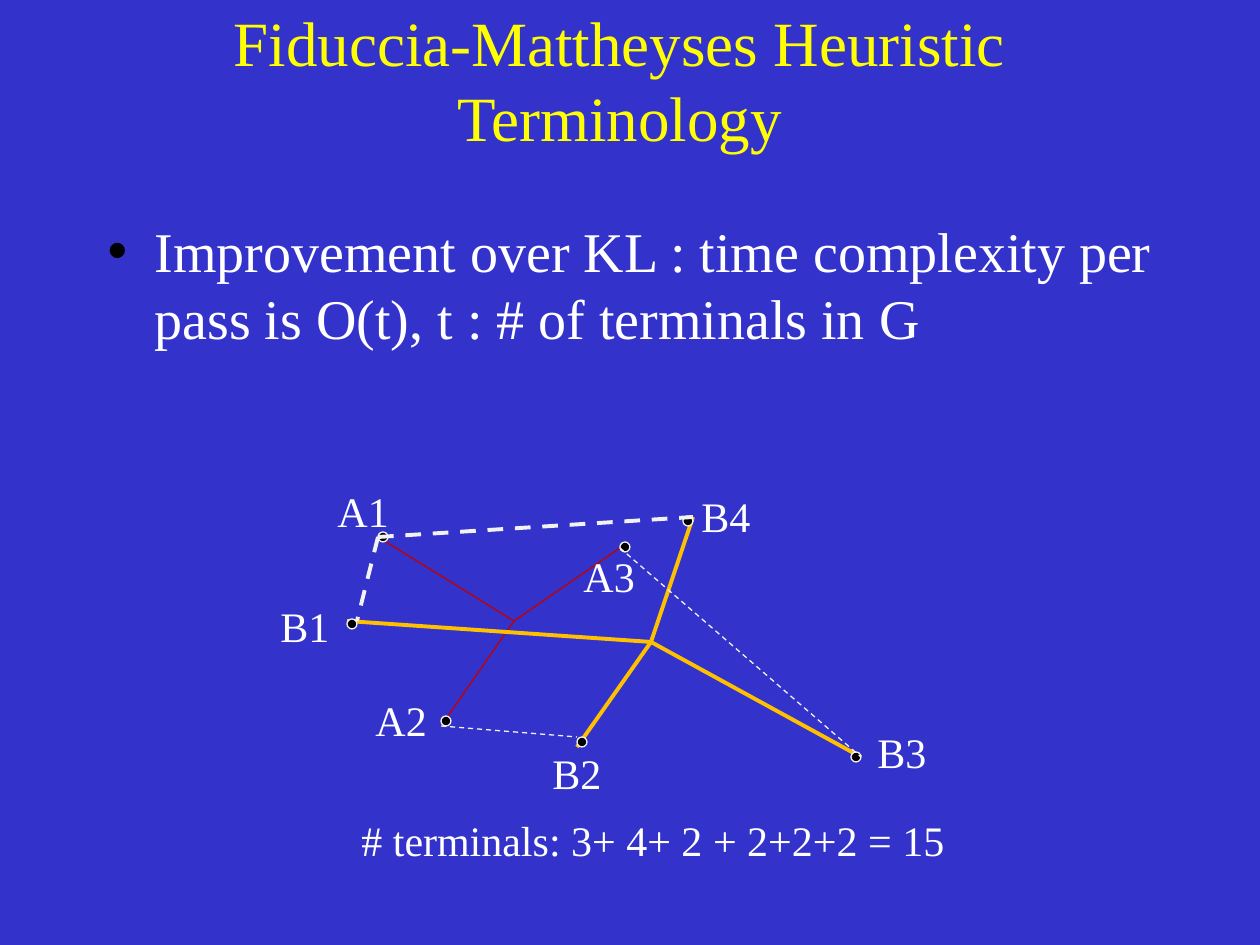
from lxml.etree import SubElement
from pptx import Presentation
from pptx.dml.color import RGBColor
from pptx.enum.dml import MSO_LINE
from pptx.enum.shapes import MSO_CONNECTOR, MSO_SHAPE
from pptx.enum.text import MSO_ANCHOR, MSO_AUTO_SIZE, PP_ALIGN
from pptx.oxml.ns import qn
from pptx.util import Emu, Pt

SCALE = 914400 / 126  # EMU in one px
BLUE, YELLOW, WHITE, BLACK = "3333CC", "FFFF00", "FFFFFF", "000000"
RED, GOLD, PALE = "C00000", "FFC000", "F2F2F2"
DOT, LABEL_WIDTH, LABEL_HEIGHT = 10, 80, 63

# Node: end of its wires, corner of its dot, corner of its label
NODES = {
    "A1": ((110, 58), (110, 53), (57, 0)),
    "A2": ((173, 247), (173, 237), (95, 209)),
    "A3": ((352, 69), (352, 63), (303, 65)),
    "B1": ((79, 142), (79, 140), (0, 115)),
    "B2": ((309, 268), (309, 258), (272, 262)),
    "B3": ((593, 278), (583, 273), (597, 241)),
    "B4": ((425, 38), (415, 37), (421, 5)),
}
# Net: centre, nodes, colour, width
NETS = [
    ((246, 142), ("A1", "A2", "A3"), RED, 0.75),
    ((383, 163), ("B1", "B2", "B4", "B3"), GOLD, 2.25),
]
B1_RIGHT, B2_TOP = (89, 142), (309, 258)


def px(length):
    return Emu(round(length * SCALE))


def color(hex_string):
    return RGBColor.from_string(hex_string)


def place(shape, box):
    for name, length in zip(("left", "top", "width", "height"), box):
        setattr(shape, name, px(length))


def write(frame, lines, size, hex_string, **formats):
    """Fill a text frame, one paragraph for each line."""
    for index, line in enumerate(lines):
        para = frame.paragraphs[0] if index == 0 else frame.add_paragraph()
        span = para.add_run()
        span.text = line
        for name, value in {"space_before": Pt(0), **formats}.items():
            setattr(para, name, value)
        font = {"name": "Times New Roman", "size": Pt(size)}
        for name, value in font.items():
            setattr(span.font, name, value)
        span.font.color.rgb = color(hex_string)


def add_text(page, box, text, anchor):
    shape = page.shapes.add_textbox(*map(px, box))
    frame = shape.text_frame
    settings = {"word_wrap": False, "vertical_anchor": anchor,
                "auto_size": MSO_AUTO_SIZE.SHAPE_TO_FIT_TEXT}
    for name, value in settings.items():
        setattr(frame, name, value)
    write(frame, [text], 24, WHITE)


def add_title(page, box):
    title = page.shapes.title
    place(title, box)
    title.text_frame.auto_size = MSO_AUTO_SIZE.NONE
    title.text_frame.vertical_anchor = MSO_ANCHOR.MIDDLE
    write(title.text_frame, ["Fiduccia-Mattheyses Heuristic", "Terminology"],
          36, YELLOW, alignment=PP_ALIGN.CENTER)


def add_body(page, box):
    body = page.placeholders[1]
    place(body, box)
    frame = body.text_frame
    frame.auto_size = MSO_AUTO_SIZE.NONE
    # Black hanging bullet
    props = frame.paragraphs[0]._p.get_or_add_pPr()
    props.set("marL", str(px(47)))
    props.set("indent", str(px(-47)))
    bullet_color = SubElement(props, qn("a:buClr"))
    SubElement(bullet_color, qn("a:srgbClr")).set("val", BLACK)
    SubElement(props, qn("a:buChar")).set("char", "•")
    write(frame, ["Improvement over KL : time complexity per pass is O(t), "
                  "t : # of terminals in G"], 32, WHITE)


def add_diagram(page, box):
    left, top = box[:2]

    def wire(start, end, hex_string, width, dash=None):
        ends = [px(v) for x, y in (start, end) for v in (left + x, top + y)]
        line = page.shapes.add_connector(MSO_CONNECTOR.STRAIGHT, *ends)
        line.line.color.rgb = color(hex_string)
        line.line.width = Pt(width)
        line.line.dash_style = dash
        SubElement(line._element.spPr, qn("a:effectLst"))

    # Nets joined at a centre
    for centre, names, hex_string, width in NETS:
        for name in names:
            wire(centre, NODES[name][0], hex_string, width)

    # Nodes
    for _, (x, y), _ in NODES.values():
        dot = page.shapes.add_shape(
            MSO_SHAPE.OVAL, *map(px, (left + x, top + y, DOT, DOT)))
        dot.shadow.inherit = False
        dot.fill.solid()
        dot.fill.fore_color.rgb = color(BLACK)
        dot.line.color.rgb = color(PALE)
        dot.line.width = Pt(0.75)

    # Dashed nets between two nodes
    ends = {name: node[0] for name, node in NODES.items()}
    for start, end, width in [(ends["A1"], B1_RIGHT, 2.25),
                              (ends["A1"], ends["B4"], 2.25),
                              (ends["A2"], B2_TOP, 0.75),
                              (ends["A3"], ends["B3"], 0.75)]:
        wire(start, end, PALE, width, MSO_LINE.DASH)

    # Labels
    for name, (_, _, (x, y)) in NODES.items():
        add_text(page, (left + x, top + y, LABEL_WIDTH, LABEL_HEIGHT),
                 name, MSO_ANCHOR.MIDDLE)


def main():
    deck = Presentation()
    deck.slide_width, deck.slide_height = px(1260), px(945)
    page = deck.slides.add_slide(deck.slide_layouts[1])
    page.background.fill.solid()
    page.background.fill.fore_color.rgb = color(BLUE)
    add_title(page, (168, 21, 903, 116))
    add_body(page, (95, 210, 1071, 473))
    add_diagram(page, (268, 479, 677, 325))
    add_text(page, (349, 808, 609, 63),
             "# terminals: 3+ 4+ 2 + 2+2+2 = 15", MSO_ANCHOR.TOP)
    deck.save("out.pptx")


if __name__ == "__main__":
    main()
